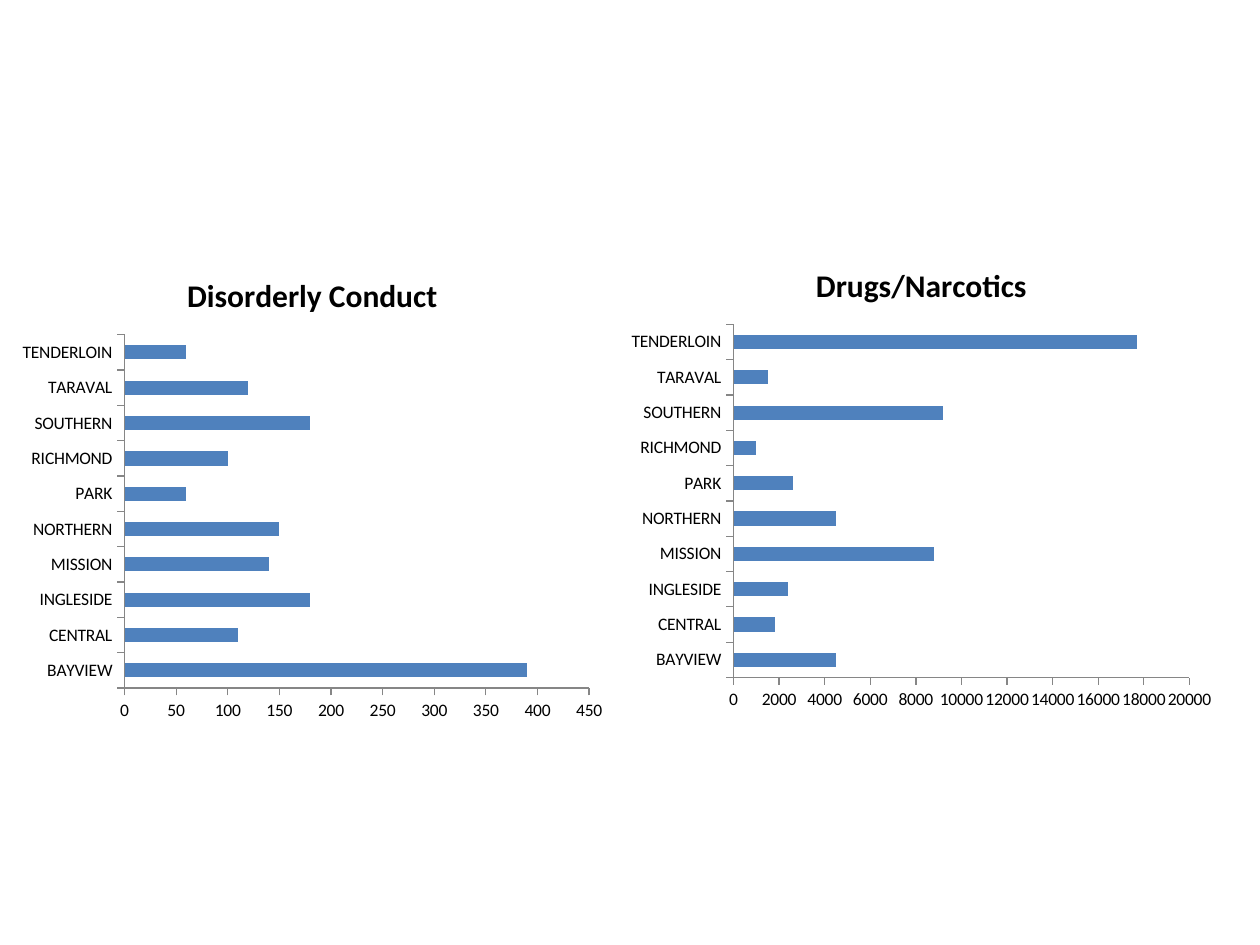
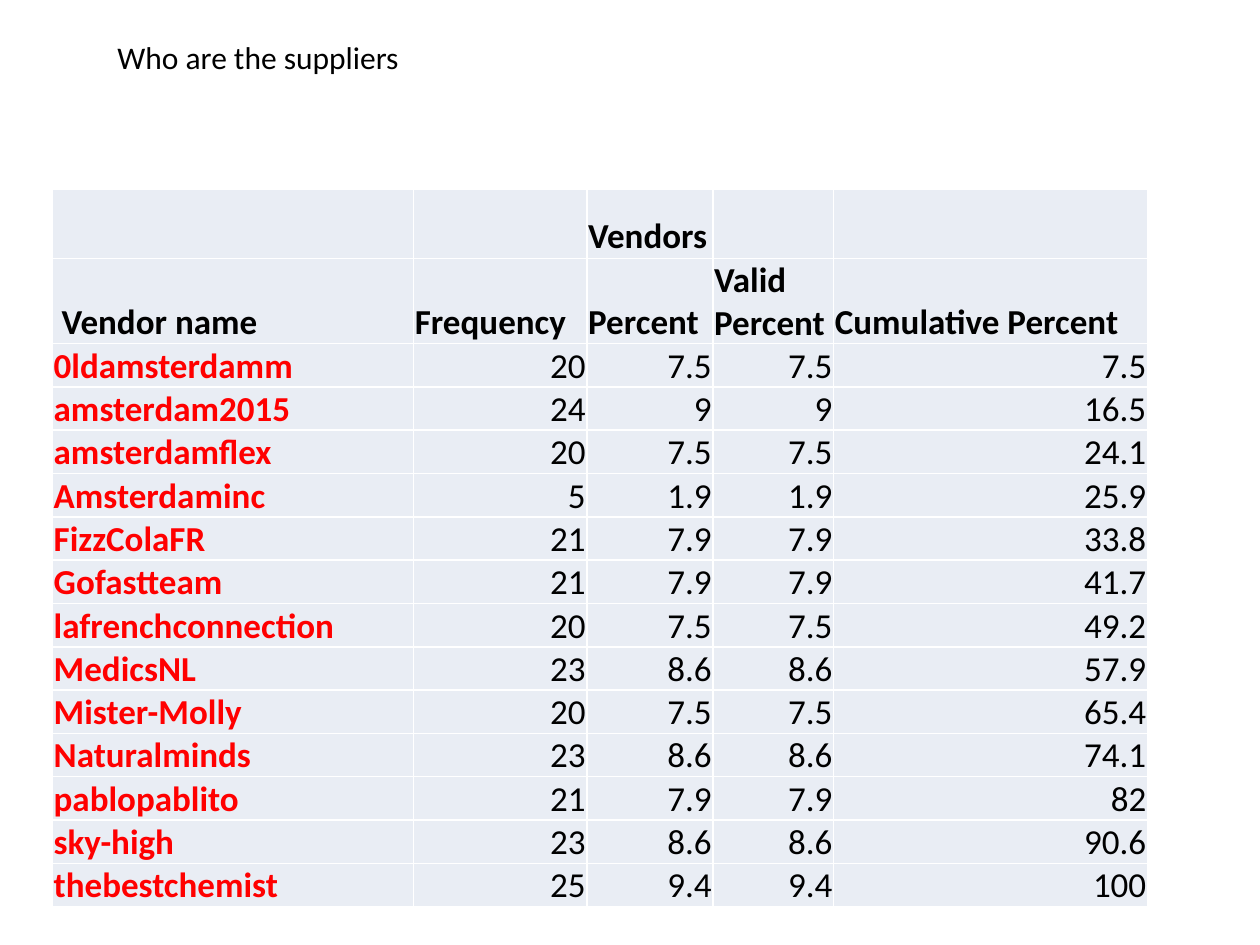
"""Builds two slides: incidents by district, and a table of vendors."""
from lxml import etree
from pptx import Presentation
from pptx import util as u
from pptx.chart import data as cd
from pptx.dml.color import RGBColor
from pptx.enum import chart as ce, text as te
from pptx.oxml import ns

COLOURS = {"ink": "000000", "vendor": "FF0000", "bar": "4F81BD",
           "axis": "868686", "cell": "E9EDF4", "rule": "FFFFFF"}
FONT = "Calibri"

deck = Presentation()
deck.slide_width, deck.slide_height = u.Inches(10), u.Inches(7.5)
COL, ROW = deck.slide_width / 120, deck.slide_height / 90


def grid(left, top, width, height):
    return int(left * COL), int(top * ROW), int(width * COL), int(height * ROW)


def write(frame, words, size=20, colour="ink", bold=False, align=te.PP_ALIGN.LEFT):
    paragraph = frame.paragraphs[0]
    paragraph.alignment = align
    run = paragraph.add_run()
    run.text = words
    run.font.name, run.font.size, run.font.bold = FONT, u.Pt(size), bold
    run.font.color.rgb = RGBColor.from_string(COLOURS[colour])


districts = ["BAYVIEW", "CENTRAL", "INGLESIDE", "MISSION", "NORTHERN",
             "PARK", "RICHMOND", "SOUTHERN", "TARAVAL", "TENDERLOIN"]
offences = [
    ("Disorderly Conduct", 1, 24, 450, 50,
     [390, 110, 180, 140, 150, 60, 100, 180, 120, 60]),
    ("Drugs/Narcotics", 59, 23, 20000, 2000,
     [4500, 1800, 2400, 8800, 4500, 2600, 1000, 9200, 1500, 17700]),
]

incidents = deck.slides.add_slide(deck.slide_layouts[6])
for offence, left, top, maximum, step, counts in offences:
    tally = cd.CategoryChartData()
    tally.categories = districts
    tally.add_series("Series 1", counts)
    chart = incidents.shapes.add_chart(
        ce.XL_CHART_TYPE.BAR_CLUSTERED, *grid(left, top, 57.5, 45.5), tally).chart
    chart.font.name, chart.font.size = FONT, u.Pt(10)
    chart.font.color.rgb = RGBColor.from_string(COLOURS["ink"])
    chart.has_legend = False
    chart.has_title = True
    write(chart.chart_title.text_frame, offence, size=18, bold=True,
          align=te.PP_ALIGN.CENTER)
    chart.chart_title.include_in_layout = False

    bars = chart.plots[0]
    bars.gap_width, bars.vary_by_categories = 150, False
    bars.series[0].format.fill.solid()
    bars.series[0].format.fill.fore_color.rgb = RGBColor.from_string(COLOURS["bar"])

    for axis in (chart.category_axis, chart.value_axis):
        axis.has_major_gridlines = False
        axis.major_tick_mark = ce.XL_TICK_MARK.OUTSIDE
        axis.minor_tick_mark = ce.XL_TICK_MARK.NONE
        axis.format.line.color.rgb = RGBColor.from_string(COLOURS["axis"])
        axis.format.line.width = u.Pt(0.75)
    chart.value_axis.minimum_scale = 0
    chart.value_axis.maximum_scale = maximum
    chart.value_axis.major_unit = step

suppliers = deck.slides.add_slide(deck.slide_layouts[6])
question = suppliers.shapes.add_textbox(*grid(10, 3, 75, 4.8)).text_frame
question.word_wrap = True
question.auto_size = te.MSO_AUTO_SIZE.SHAPE_TO_FIT_TEXT
write(question, "Who are the suppliers", size=18)

vendors = [
    ("0ldamsterdamm", "20", "7.5", "7.5"),
    ("amsterdam2015", "24", "9", "16.5"),
    ("amsterdamflex", "20", "7.5", "24.1"),
    ("Amsterdaminc", "5", "1.9", "25.9"),
    ("FizzColaFR", "21", "7.9", "33.8"),
    ("Gofastteam", "21", "7.9", "41.7"),
    ("lafrenchconnection", "20", "7.5", "49.2"),
    ("MedicsNL", "23", "8.6", "57.9"),
    ("Mister-Molly", "20", "7.5", "65.4"),
    ("Naturalminds", "23", "8.6", "74.1"),
    ("pablopablito", "21", "7.9", "82"),
    ("sky-high", "23", "8.6", "90.6"),
    ("thebestchemist", "25", "9.4", "100"),
]
headings = [
    ["", "", "Vendors", "", ""],
    [" Vendor name", "Frequency", "Percent", "Valid Percent", "Cumulative Percent"],
]
lines = headings + [[name, count, share, share, total]
                    for name, count, share, total in vendors]
widths = [34.4, 16.5, 12, 11.5, 29.9]
heights = [6.6] * len(headings) + [3.6] * len(vendors)

listing = suppliers.shapes.add_table(
    len(lines), len(widths), *grid(5, 18, sum(widths), sum(heights))).table
listing.first_row = listing.horz_banding = False
for column, width in zip(listing.columns, widths):
    column.width = int(width * COL)
for line, height in zip(listing.rows, heights):
    line.height = int(height * ROW)

for r, line in enumerate(lines):
    for c, words in enumerate(line):
        cell = listing.cell(r, c)
        edges = cell._tc.get_or_add_tcPr()
        for side in ("a:lnL", "a:lnR", "a:lnT", "a:lnB"):
            edge = etree.SubElement(edges, ns.qn(side), w=str(u.Pt(1)))
            paint = etree.SubElement(edge, ns.qn("a:solidFill"))
            etree.SubElement(paint, ns.qn("a:srgbClr"), val=COLOURS["rule"])
        cell.fill.solid()
        cell.fill.fore_color.rgb = RGBColor.from_string(COLOURS["cell"])
        if not words:
            continue
        cell.margin_left = cell.margin_top = cell.margin_right = u.Inches(0.01)
        cell.margin_bottom = 0
        cell.vertical_anchor = te.MSO_ANCHOR.BOTTOM
        heading = r < len(headings)
        write(cell.text_frame, words, bold=heading or c == 0,
              colour="ink" if heading or c else "vendor",
              align=te.PP_ALIGN.LEFT if heading or c == 0 else te.PP_ALIGN.RIGHT)

deck.save("out.pptx")
